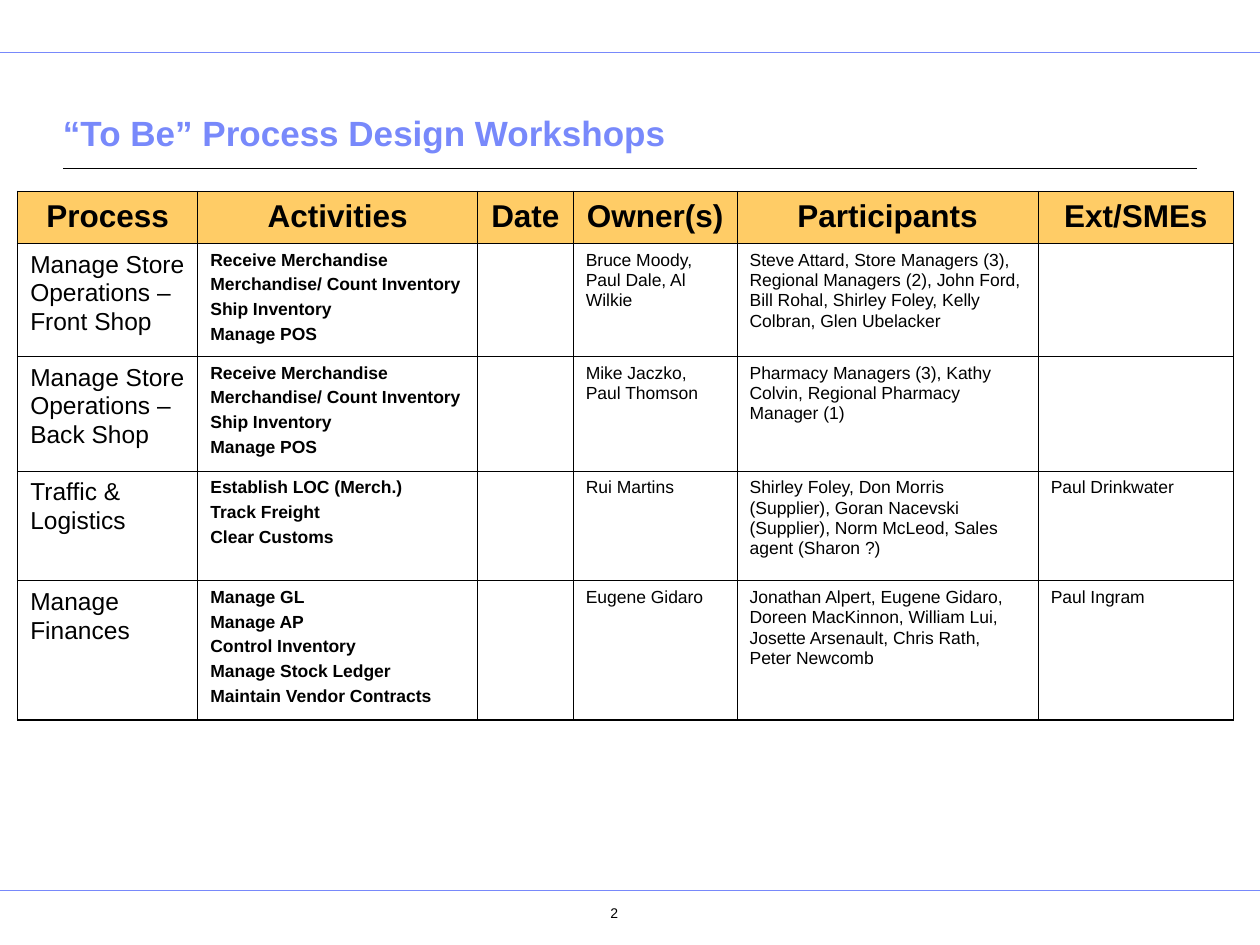
from lxml import etree
from pptx import Presentation
from pptx.dml.color import RGBColor
from pptx.enum import text
from pptx.oxml import ns
from pptx.util import Inches, Pt

COLORS = {"title": "7889FB", "header": "FFCC66", "ink": "000000"}
COLUMN_WIDTHS = [1.43, 2.22, 0.76, 1.3, 2.39, 1.55]
ROW_HEIGHTS = [0.41, 0.89, 0.91, 0.87, 1.1]
THIN, THICK = 0.45, 1.08

STORE_ACTIVITIES = ["Receive Merchandise", "Merchandise/ Count Inventory",
                    "Ship Inventory", "Manage POS"]
WORKSHOPS = [
    [["Process"], ["Activities"], ["Date"], ["Owner(s)"], ["Participants"], ["Ext/SMEs"]],
    [["Manage Store Operations – Front Shop"], STORE_ACTIVITIES, [],
     ["Bruce Moody, Paul Dale, Al Wilkie"],
     ["Steve Attard, Store Managers (3), Regional Managers (2), John Ford, "
      "Bill Rohal, Shirley Foley, Kelly Colbran, Glen Ubelacker"], []],
    [["Manage Store Operations – Back Shop"], STORE_ACTIVITIES, [],
     ["Mike Jaczko, Paul Thomson"],
     ["Pharmacy Managers (3), Kathy Colvin, Regional Pharmacy Manager (1)"], []],
    [["Traffic & Logistics"],
     ["Establish LOC (Merch.)", "Track Freight", "Clear Customs"], [],
     ["Rui Martins"],
     ["Shirley Foley, Don Morris (Supplier), Goran Nacevski (Supplier), "
      "Norm McLeod, Sales agent (Sharon ?)"], ["Paul Drinkwater"]],
    [["Manage Finances"],
     ["Manage GL", "Manage AP", "Control Inventory", "Manage Stock Ledger",
      "Maintain Vendor Contracts"], [],
     ["Eugene Gidaro"],
     ["Jonathan Alpert, Eugene Gidaro, Doreen MacKinnon, William Lui, "
      "Josette Arsenault, Chris Rath, Peter Newcomb"], ["Paul Ingram"]],
]


def set_font(paragraph, size, color="ink", bold=False):
    font = paragraph.font
    font.name, font.size, font.bold = "Arial", Pt(size), bold
    font.color.rgb = RGBColor.from_string(COLORS[color])


def add_border(cell, side, width):
    """Draw one side (L, R, T or B) of a cell; call in that order."""
    line = etree.SubElement(cell._tc.get_or_add_tcPr(), ns.qn(f"a:ln{side}"),
                            w=str(Pt(width)))
    fill = etree.SubElement(line, ns.qn("a:solidFill"))
    etree.SubElement(fill, ns.qn("a:srgbClr"), val=COLORS["ink"])


prs = Presentation()
prs.slide_width, prs.slide_height = Inches(10), Inches(7.5)
slide = prs.slides.add_slide(prs.slide_layouts[6])

# Rules across the page
for left, right, y, color, width in [(0, 10, 0.42, "title", 0.5),
                                     (0, 10, 7.07, "title", 0.5),
                                     (0.5, 9.5, 1.34, "ink", 0.75)]:
    rule = slide.shapes.add_connector(1, Inches(left), Inches(y), Inches(right), Inches(y))
    rule.line.color.rgb = RGBColor.from_string(COLORS[color])
    rule.line.width = Pt(width)
    etree.SubElement(rule._element.spPr, ns.qn("a:effectLst"))

# Title
title = slide.shapes.add_textbox(Inches(0.5), Inches(0.64), Inches(9), Inches(0.63)).text_frame
title.word_wrap = True
title.vertical_anchor = text.MSO_ANCHOR.BOTTOM
title.margin_left = title.margin_right = 0
title.text = "“To Be” Process Design Workshops"
set_font(title.paragraphs[0], 20, "title", bold=True)

# Workshop table
last_row, last_column = len(ROW_HEIGHTS) - 1, len(COLUMN_WIDTHS) - 1
table = slide.shapes.add_table(
    len(ROW_HEIGHTS), len(COLUMN_WIDTHS), Inches(0.14), Inches(1.52),
    Inches(sum(COLUMN_WIDTHS)), Inches(sum(ROW_HEIGHTS))).table
table.first_row = table.horz_banding = False
for column, width in zip(table.columns, COLUMN_WIDTHS):
    column.width = Inches(width)
for row, height in zip(table.rows, ROW_HEIGHTS):
    row.height = Inches(height)

for r, workshop in enumerate(WORKSHOPS):
    for c, lines in enumerate(workshop):
        cell = table.cell(r, c)
        for side, outer in [("L", c == 0), ("R", c == last_column),
                            ("T", r == 0), ("B", r == last_row)]:
            add_border(cell, side, THICK if outer else THIN)
        if r == 0:
            cell.fill.solid()
            cell.fill.fore_color.rgb = RGBColor.from_string(COLORS["header"])
        else:
            cell.fill.background()
        cell.text = "\n".join(lines)
        size = 18 if r == 0 else 14 if c == 0 else 10
        for i, paragraph in enumerate(cell.text_frame.paragraphs):
            paragraph.line_spacing = 1.04
            if i:
                paragraph.space_before = Pt(2.5)
            if r == 0:
                paragraph.alignment = text.PP_ALIGN.CENTER
            set_font(paragraph, size, bold=r == 0 or c == 1)

# Page number
page = slide.shapes.add_textbox(Inches(4.27), Inches(7.11), Inches(1.15), Inches(0.35)).text_frame
page.word_wrap = True
page.margin_left, page.margin_top = Inches(0.16), Inches(0.07)
page.text = "2"
page.paragraphs[0].alignment = text.PP_ALIGN.CENTER
set_font(page.paragraphs[0], 8)

prs.save("out.pptx")
